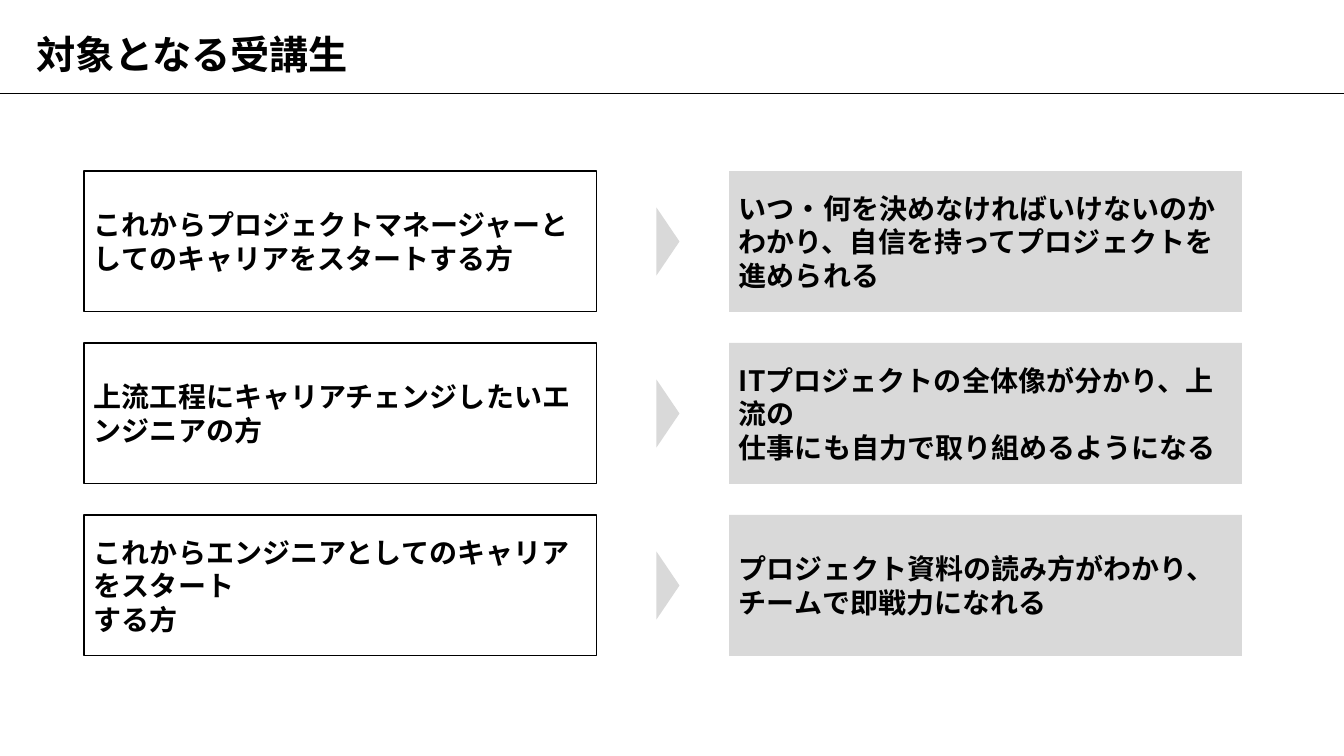
from dataclasses import dataclass
from typing import Optional

from lxml import etree
from pptx import Presentation
from pptx import util as u
from pptx.dml.color import RGBColor
from pptx.enum import shapes, text
from pptx.oxml.ns import qn

EMU_PER_PX = 914400 / 100.8


@dataclass(frozen=True)
class Theme:
    font: str = "Noto Sans CJK JP"
    ink: RGBColor = RGBColor(0, 0, 0)
    paper: RGBColor = RGBColor(255, 255, 255)
    grey: RGBColor = RGBColor(0xD9, 0xD9, 0xD9)
    title_size: int = 28
    body_size: int = 20
    rule_width: float = 0.5
    border_width: float = 0.75


@dataclass(frozen=True)
class Box:
    left: int
    top: int
    width: int
    height: int

    def moved_down(self, distance: int) -> "Box":
        return Box(self.left, self.top + distance, self.width, self.height)


@dataclass(frozen=True)
class Audience:
    """One kind of student; each tuple item is a paragraph."""
    person: tuple[str, ...]
    outcome: tuple[str, ...]


THEME = Theme()
SLIDE_WIDTH, SLIDE_HEIGHT = 1344, 756
RULE_TOP = 93
TITLE_BOX = Box(26, 21, 1279, 71)
PERSON_BOX = Box(84, 171, 513, 141)
OUTCOME_BOX = Box(729, 171, 513, 141)
ARROW_BOX = Box(634, 230, 68, 23)
ROW_PITCH = 172

AUDIENCES = [
    Audience(
        ("これからプロジェクトマネージャーとしてのキャリアをスタートする方",),
        ("いつ・何を決めなければいけないのかわかり、自信を持ってプロジェクトを進められる",),
    ),
    Audience(
        ("上流工程にキャリアチェンジしたいエンジニアの方",),
        ("ITプロジェクトの全体像が分かり、上流の", "仕事にも自力で取り組めるようになる"),
    ),
    Audience(
        ("これからエンジニアとしてのキャリアをスタート\vする方",),
        ("プロジェクト資料の読み方がわかり、チームで即戦力になれる",),
    ),
]


def px(length: int) -> u.Emu:
    return u.Emu(round(length * EMU_PER_PX))


def place(box: Box) -> tuple[u.Emu, u.Emu, u.Emu, u.Emu]:
    return px(box.left), px(box.top), px(box.width), px(box.height)


def write_text(shape, paragraphs: tuple[str, ...], *, size: int,
               line_spacing: Optional[float] = None) -> None:
    """Fill a shape with bold, left-aligned, vertically centred text."""
    frame = shape.text_frame
    frame.word_wrap = True
    frame.auto_size = text.MSO_AUTO_SIZE.NONE
    frame.vertical_anchor = text.MSO_ANCHOR.MIDDLE
    for index, words in enumerate(paragraphs):
        paragraph = frame.add_paragraph() if index else frame.paragraphs[0]
        paragraph.text = words
        paragraph.alignment = text.PP_ALIGN.LEFT
        paragraph.line_spacing = line_spacing
        for run in paragraph.runs:
            run.font.size = u.Pt(size)
            run.font.bold = True
            run.font.color.rgb = THEME.ink
            run.font.name = THEME.font
            east_asian = etree.SubElement(run.font._element, qn("a:ea"))
            east_asian.set("typeface", THEME.font)


def add_filled_shape(parent, kind: shapes.MSO_SHAPE, box: Box, fill: RGBColor,
                     border: Optional[RGBColor] = None):
    shape = parent.add_shape(kind, *place(box))
    shape.shadow.inherit = False
    shape.fill.solid()
    shape.fill.fore_color.rgb = fill
    if border is None:
        shape.line.fill.background()
    else:
        shape.line.color.rgb = border
        shape.line.width = u.Pt(THEME.border_width)
    return shape


def add_title(slide, words: str) -> None:
    title = slide.shapes.title
    title.left, title.top, title.width, title.height = place(TITLE_BOX)
    write_text(title, (words,), size=THEME.title_size, line_spacing=0.9)


def add_rule(slide) -> None:
    rule = slide.shapes.add_connector(
        shapes.MSO_CONNECTOR.STRAIGHT,
        px(0), px(RULE_TOP), px(SLIDE_WIDTH), px(RULE_TOP))
    rule.line.color.rgb = THEME.ink
    rule.line.width = u.Pt(THEME.rule_width)
    etree.SubElement(rule._element.spPr, qn("a:effectLst"))


def add_audience_row(slide, audience: Audience, offset: int) -> None:
    row = slide.shapes.add_group_shape().shapes
    rectangle = shapes.MSO_SHAPE.RECTANGLE
    person = add_filled_shape(row, rectangle, PERSON_BOX.moved_down(offset),
                              THEME.paper, border=THEME.ink)
    write_text(person, audience.person, size=THEME.body_size)
    outcome = add_filled_shape(row, rectangle, OUTCOME_BOX.moved_down(offset),
                               THEME.grey)
    write_text(outcome, audience.outcome, size=THEME.body_size)
    arrow = add_filled_shape(row, shapes.MSO_SHAPE.ISOSCELES_TRIANGLE,
                             ARROW_BOX.moved_down(offset), THEME.grey)
    arrow.rotation = 90


def main() -> None:
    presentation = Presentation()
    presentation.slide_width = px(SLIDE_WIDTH)
    presentation.slide_height = px(SLIDE_HEIGHT)
    title_only = presentation.slide_layouts.get_by_name("Title Only")
    slide = presentation.slides.add_slide(title_only)
    add_rule(slide)
    add_title(slide, "対象となる受講生")
    for index, audience in enumerate(AUDIENCES):
        add_audience_row(slide, audience, index * ROW_PITCH)
    presentation.save("out.pptx")


if __name__ == "__main__":
    main()
